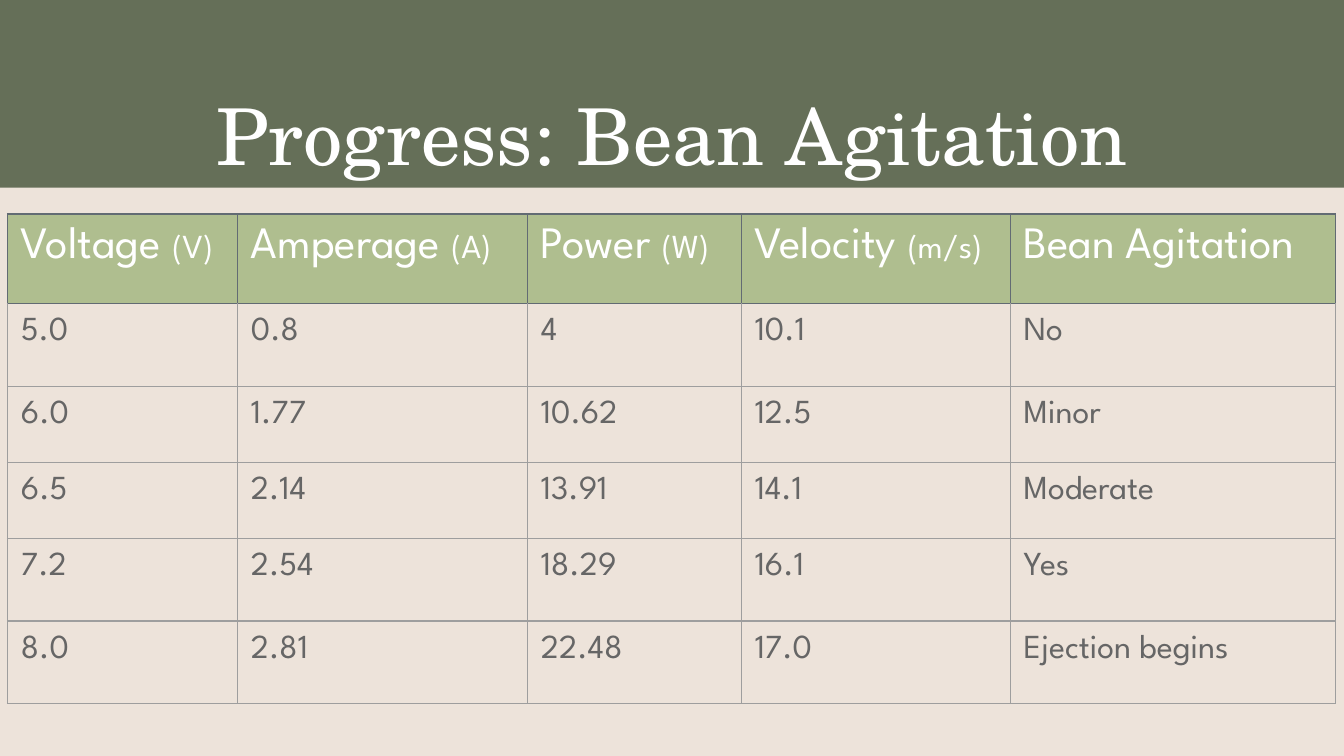
"""Build the bean agitation progress slide."""
from typing import NamedTuple

from lxml.etree import SubElement
from pptx import Presentation
from pptx.dml.color import RGBColor
from pptx.enum.shapes import MSO_SHAPE as Shape
from pptx.enum.text import MSO_ANCHOR as Anchor, PP_ALIGN as Align
from pptx.oxml.ns import qn
from pptx.util import Pt

BODY_FONT = "League Spartan"
TITLE_FONT = "TeX Gyre Schola"
WHITE, GRAY, BACKGROUND = "FFFFFF", "666666", "EDE3DA"
BANNER, HEADER_FILL = "656F58", "AFBE8F"
HEADER_LINE, BODY_LINE = "626B73", "9E9E9E"
INSET = Pt(7.2)


class Column(NamedTuple):
    name: str
    unit: str
    width: float
    values: tuple[str, ...]


COLUMNS = (
    Column("Voltage", "(V)", 123.2, ("5.0", "6.0", "6.5", "7.2", "8.0")),
    Column("Amperage", "(A)", 155.4, ("0.8", "1.77", "2.14", "2.54", "2.81")),
    Column("Power", "(W)", 114.6, ("4", "10.62", "13.91", "18.29", "22.48")),
    Column("Velocity", "(m/s)", 144, ("10.1", "12.5", "14.1", "16.1", "17.0")),
    Column("Bean Agitation", "", 174.2,
           ("No", "Minor", "Moderate", "Yes", "Ejection begins")),
)
ROW_HEIGHTS = (48, 44.3, 40.8, 40.8, 44.3, 44.3)


def rgb(color: str) -> RGBColor:
    return RGBColor.from_string(color)


def set_font(font, name: str, size: float, color: str) -> None:
    font.name, font.size, font.bold = name, Pt(size), False
    font.color.rgb = rgb(color)


def set_insets(frame) -> None:
    frame.margin_left = frame.margin_right = INSET
    frame.margin_top = frame.margin_bottom = INSET


def set_borders(cell, color: str, top: str) -> None:
    tc_pr = cell._tc.get_or_add_tcPr()
    for i, side in enumerate(("lnL", "lnR", "lnT", "lnB")):
        ln = SubElement(tc_pr, qn(f"a:{side}"), w=str(Pt(0.75)))
        fill = SubElement(ln, qn("a:solidFill"))
        SubElement(fill, qn("a:srgbClr"), val=top if side == "lnT" else color)
        tc_pr.remove(ln)
        tc_pr.insert(i, ln)


def add_banner(s, width: int) -> None:
    sp = s.shapes.add_shape(Shape.RECTANGLE, 0, 0, width, Pt(100.5))
    sp.shadow.inherit = False
    sp.fill.solid()
    sp.fill.fore_color.rgb = rgb(BANNER)
    sp.line.fill.background()


def add_title(s, text: str) -> None:
    tf = s.shapes.add_textbox(Pt(24.5), Pt(39.6), Pt(671), Pt(49)).text_frame
    tf.word_wrap = True
    tf.vertical_anchor = Anchor.TOP
    set_insets(tf)
    p = tf.paragraphs[0]
    p.text, p.alignment = text, Align.CENTER
    set_font(p.font, TITLE_FONT, 42, WHITE)


def fill_header(cell, column: Column) -> None:
    p = cell.text_frame.paragraphs[0]
    set_font(p.font, BODY_FONT, 24, WHITE)
    p.add_run().text = f"{column.name} {column.unit}".removesuffix(column.unit).rstrip()
    if column.unit:
        p.runs[0].text += " "
        r = p.add_run()
        r.text, r.font.size = column.unit, Pt(18)
    cell.fill.solid()
    cell.fill.fore_color.rgb = rgb(HEADER_FILL)
    set_borders(cell, HEADER_LINE, HEADER_LINE)


def fill_value(cell, value: str, top: str) -> None:
    p = cell.text_frame.paragraphs[0]
    p.text = value
    set_font(p.font, BODY_FONT, 18, GRAY)
    cell.fill.background()
    set_borders(cell, BODY_LINE, top)


def add_results(s) -> None:
    width = sum(column.width for column in COLUMNS)
    table = s.shapes.add_table(len(ROW_HEIGHTS), len(COLUMNS), Pt(4), Pt(114.6),
                               Pt(width), Pt(sum(ROW_HEIGHTS))).table
    table.horz_banding = table.first_row = False
    for row, height in zip(table.rows, ROW_HEIGHTS):
        row.height = Pt(height)
    for x, column in enumerate(COLUMNS):
        table.columns[x].width = Pt(column.width)
        fill_header(table.cell(0, x), column)
        for y, value in enumerate(column.values, 1):
            fill_value(table.cell(y, x), value, HEADER_LINE if y == 1 else BODY_LINE)
    for cell in table.iter_cells():
        set_insets(cell)


def main() -> None:
    prs = Presentation()
    prs.slide_width, prs.slide_height = Pt(720), Pt(405)
    s = prs.slides.add_slide(prs.slide_layouts[6])
    s.background.fill.solid()
    s.background.fill.fore_color.rgb = rgb(BACKGROUND)
    add_banner(s, prs.slide_width)
    add_title(s, "Progress: Bean Agitation")
    add_results(s)
    prs.save("out.pptx")


if __name__ == "__main__":
    main()
